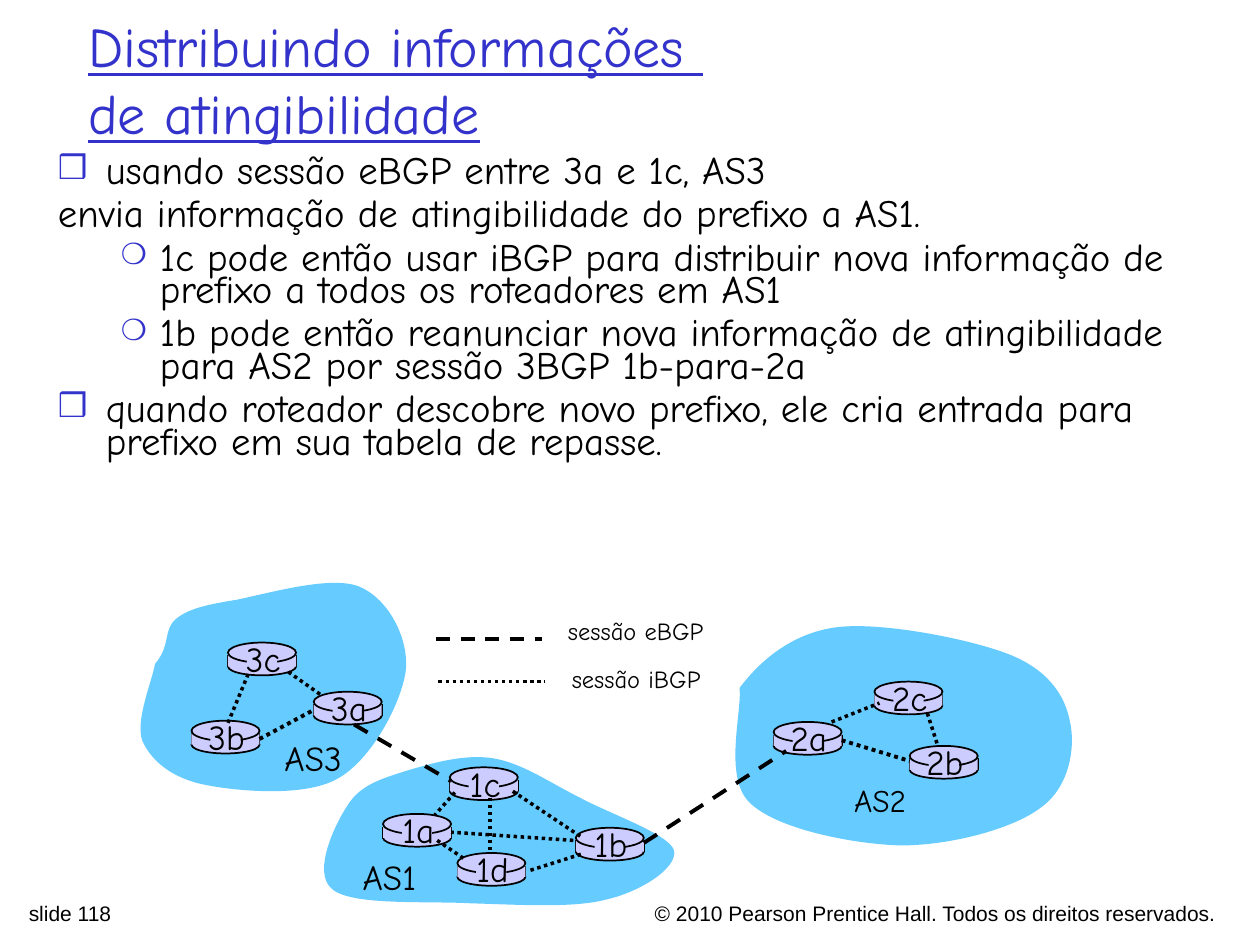
from dataclasses import dataclass
from typing import Optional

from lxml import etree
from pptx import Presentation
from pptx.dml.color import RGBColor
from pptx.enum.dml import MSO_LINE
from pptx.enum.shapes import MSO_CONNECTOR, MSO_SHAPE
from pptx.enum.text import MSO_ANCHOR, MSO_AUTO_SIZE, PP_ALIGN
from pptx.oxml.ns import qn
from pptx.util import Cm, Pt

LEFT, CENTER, RIGHT = PP_ALIGN.LEFT, PP_ALIGN.CENTER, PP_ALIGN.RIGHT
MIDDLE, TOP = MSO_ANCHOR.MIDDLE, MSO_ANCHOR.TOP
NO_FIT, GROW = MSO_AUTO_SIZE.NONE, MSO_AUTO_SIZE.SHAPE_TO_FIT_TEXT
OVAL, RECT = MSO_SHAPE.OVAL, MSO_SHAPE.RECTANGLE
STRAIGHT = MSO_CONNECTOR.STRAIGHT
DOT, DASH = MSO_LINE.ROUND_DOT, MSO_LINE.DASH
COMIC, ARIAL = "Comic Neue", "Arial"
BLACK, BLUE, SKY, LILAC = "000000", "3333CC", "66CCFF", "CCCCFF"
EAST, WEST = 3, 1


@dataclass
class Router:
    name: str
    x: float
    y: float


@dataclass
class Link:
    start: tuple
    end: tuple
    dash: int = DOT
    width: float = 2
    tail: Optional[tuple] = None
    head: Optional[tuple] = None


@dataclass
class Label:
    text: str
    box: tuple
    size: float = 20
    font: str = COMIC
    align: int = LEFT
    wrap: bool = True
    fit: int = GROW


@dataclass
class Item:
    text: str
    level: int = 0
    mark: str = ""


@dataclass
class Cloud:
    start: tuple
    curves: list


ROUTERS = [
    Router("3b", 1.52, 5.72), Router("1d", 3.63, 6.77), Router("3a", 2.49, 5.49),
    Router("1c", 3.57, 6.09), Router("2a", 6.14, 5.73), Router("1a", 3.04, 6.46),
    Router("2c", 6.94, 5.41), Router("2b", 7.22, 5.92), Router("1b", 4.57, 6.57),
    Router("3c", 1.81, 5.1),
]
LINKS = [
    Link((6.69, 5.87), (7.22, 6.04), width=2.25, tail=("2a", EAST)),
    Link((2.05, 5.85), (2.49, 5.65), width=2.25, tail=("3b", EAST), head=("3a", WEST)),
    Link((2.81, 5.75), (3.58, 6.2), DASH, 2.25),
    Link((5.11, 6.69), (6.24, 5.96), DASH, 2.25),
    Link((3.61, 6.29), (3.45, 6.47)),
    Link((3.89, 6.33), (3.89, 6.76)),
    Link((4.07, 6.28), (4.61, 6.64)),
    Link((4.61, 6.78), (4.2, 6.91)),
    Link((4.55, 6.67), (3.57, 6.58), head=("1a", EAST)),
    Link((6.6, 5.73), (6.98, 5.58)),
    Link((3.46, 5.07), (4.3, 5.07), DASH),
    Link((3.48, 5.41), (4.32, 5.41)),
    Link((2.54, 5.51), (2.27, 5.32)),
    Link((1.97, 5.35), (1.8, 5.76)),
    Link((7.36, 5.66), (7.44, 5.91)),
    Link((3.47, 6.67), (3.69, 6.82)),
]
LABELS = [
    Label("© 2010 Pearson Prentice Hall. Todos os direitos reservados.",
          (4.64, 7.1, 5.11, 0.24), 12, ARIAL, RIGHT, fit=NO_FIT),
    Label("slide 118", (0.13, 7.1, 3.52, 0.23), 12, ARIAL, fit=NO_FIT),
    Label("AS3", (2.16, 5.8, 0.7, 0.44)),
    Label("AS1", (2.78, 6.74, 0.7, 0.44)),
    Label("AS2", (6.68, 6.15, 0.7, 0.4), 18),
    Label("sessão eBGP", (4.41, 4.84, 1.3, 0.34), 14),
    Label("sessão iBGP", (4.44, 5.22, 1.3, 0.34), 14),
]
ITEMS = [
    Item("usando sessão eBGP entre 3a e 1c, AS3", mark="❒"),
    Item("envia informação de atingibilidade do prefixo a AS1."),
    Item("1c pode então usar iBGP para distribuir nova informação de "
         "prefixo a todos os roteadores em AS1", 1, "❍"),
    Item("1b pode então reanunciar nova informação de atingibilidade "
         "para AS2 por sessão 3BGP 1b-para-2a", 1, "❍"),
    Item("quando roteador descobre novo prefixo, ele cria entrada para "
         "prefixo em sua tabela de repasse.", mark="❒"),
]
INDENTS = [(0.38, -0.38, 85), (0.81, -0.31, 75)]
CLOUDS = [
    Cloud((5.87, 5.46), [
        (6.02, 5.26, 6.27, 5.03, 6.63, 4.98), (6.98, 4.93, 7.69, 5.07, 8, 5.19),
        (8.31, 5.31, 8.45, 5.51, 8.49, 5.72), (8.54, 5.92, 8.49, 6.25, 8.26, 6.41),
        (8.04, 6.58, 7.54, 6.71, 7.15, 6.71), (6.77, 6.7, 6.16, 6.58, 5.95, 6.37),
        (5.74, 6.17, 5.89, 5.65, 5.87, 5.46)]),
    Cloud((1.23, 5.27), [
        (1.36, 5.12, 1.29, 5, 1.4, 4.91), (1.5, 4.83, 1.64, 4.8, 1.88, 4.76),
        (2.13, 4.71, 2.64, 4.56, 2.86, 4.66), (3.09, 4.76, 3.25, 5.08, 3.22, 5.33),
        (3.18, 5.59, 2.95, 6.03, 2.68, 6.18), (2.42, 6.33, 1.88, 6.28, 1.63, 6.23),
        (1.37, 6.18, 1.2, 6.04, 1.13, 5.88), (1.07, 5.72, 1.21, 5.4, 1.23, 5.27)]),
    Cloud((2.76, 6.39), [
        (2.86, 6.23, 3.03, 6.18, 3.22, 6.12), (3.42, 6.06, 3.69, 5.98, 3.92, 6.02),
        (4.15, 6.06, 4.36, 6.21, 4.6, 6.33), (4.84, 6.46, 5.31, 6.62, 5.35, 6.75),
        (5.38, 6.89, 5.08, 7.08, 4.81, 7.14), (4.55, 7.21, 4.1, 7.18, 3.74, 7.17),
        (3.38, 7.15, 2.8, 7.19, 2.64, 7.06), (2.47, 6.93, 2.66, 6.54, 2.76, 6.39)]),
]


def size(*inches: float) -> list:
    return [Cm(2.54 * value) for value in inches]


def tint(color, code: str) -> None:
    color.rgb = RGBColor.from_string(code)


def paint(shape, fill: str, edge: bool = False) -> None:
    shape.shadow.inherit = False
    shape.fill.solid()
    tint(shape.fill.fore_color, fill)
    if edge:
        tint(shape.line.color, BLACK)
        shape.line.width = Pt(1)
    else:
        shape.line.fill.background()


def style(par, points: float, font: str, code: str, line: bool = False) -> None:
    for run in par.runs:
        run.font.size, run.font.name = Pt(points), font
        run.font.underline = line
        tint(run.font.color, code)


def place(shape, box: tuple) -> None:
    shape.left, shape.top, shape.width, shape.height = size(*box)


def write(shapes, label: Label) -> None:
    frame = shapes.add_textbox(*size(*label.box)).text_frame
    frame.word_wrap, frame.auto_size = label.wrap, label.fit
    frame.text = label.text
    par = frame.paragraphs[0]
    par.alignment = label.align
    style(par, label.size, label.font, BLACK)


def block(shapes, kind: int, box: tuple, edge: bool = False):
    shape = shapes.add_shape(kind, *size(*box))
    paint(shape, LILAC, edge)
    return shape


def wire(shapes, start: tuple, end: tuple, width: float):
    line = shapes.add_connector(STRAIGHT, *size(*start, *end))
    tint(line.line.color, BLACK)
    line.line.width = Pt(width)
    etree.SubElement(line._element.spPr, qn("a:effectLst"))
    return line


def route(shapes, node: Router):
    x, y = node.x, node.y
    block(shapes, OVAL, (x, y + 0.12, 0.54, 0.14), True)
    for side in (x, x + 0.54):
        wire(shapes, (side, y + 0.1), (side, y + 0.19), 1)
    core = block(shapes, RECT, (x, y + 0.1, 0.54, 0.09))
    block(shapes, OVAL, (x, y, 0.54, 0.16), True)
    block(shapes, RECT, (x + 0.15, y + 0.02, 0.24, 0.2))
    write(shapes, Label(node.name, (x + 0.03, y - 0.09, 0.5, 0.44), align=CENTER, wrap=False))
    return core


def join(shapes, link: Link, cores: dict) -> None:
    line = wire(shapes, link.start, link.end, link.width)
    line.line.dash_style = link.dash
    if link.tail:
        line.begin_connect(cores[link.tail[0]], link.tail[1])
    if link.head:
        line.end_connect(cores[link.head[0]], link.head[1])


def puff(shapes, cloud: Cloud) -> None:
    pen = shapes.build_freeform(*size(*cloud.start))
    pen.add_line_segments([size(*curve[k:k + 2]) for curve in cloud.curves for k in (0, 2, 4)])
    shape = pen.convert_to_shape()
    paint(shape, SKY)
    route = next(shape._element.iter(qn("a:path")[:0] + qn("a:pathLst")))[0]
    legs = route.findall(qn("a:lnTo"))
    for first in range(0, len(cloud.curves) * 3, 3):
        bend = etree.Element(qn("a:cubicBezTo"))
        legs[first].addprevious(bend)
        for leg in legs[first:first + 3]:
            bend.append(leg[0])
            route.remove(leg)


def bullet(par, item: Item) -> None:
    left, hang, scale = INDENTS[item.level]
    props = par._p.get_or_add_pPr()
    props.set("marL", str(size(left)[0]))
    props.set("indent", str(size(hang)[0]))
    if not item.mark:
        etree.SubElement(props, qn("a:buNone"))
        return
    color = etree.SubElement(props, qn("a:buClr"))
    etree.SubElement(color, qn("a:srgbClr"), val=BLUE)
    etree.SubElement(props, qn("a:buSzPct"), val=str(scale * 1000))
    etree.SubElement(props, qn("a:buChar"), char=item.mark)


def head(title) -> None:
    place(title, (0.6, 0, 8.5, 1.25))
    frame = title.text_frame
    frame.text = "Distribuindo informações \vde atingibilidade"
    frame.auto_size, frame.vertical_anchor = NO_FIT, MIDDLE
    frame.paragraphs[0].alignment = LEFT
    style(frame.paragraphs[0], 32, COMIC, BLUE, True)


def fill(body) -> None:
    place(body, (0.36, 1.21, 9.22, 2.59))
    frame = body.text_frame
    frame.text = "\n".join(item.text for item in ITEMS)
    frame.auto_size, frame.vertical_anchor = NO_FIT, TOP
    for rank, (par, item) in enumerate(zip(frame.paragraphs, ITEMS)):
        par.level = item.level
        bullet(par, item)
        par.line_spacing = 0.7
        par.space_before = Pt(6 if rank else 0)
        style(par, 22.2, COMIC, BLACK)


def main() -> None:
    deck = Presentation()
    deck.slide_width, deck.slide_height = size(10, 7.5)
    slide = deck.slides.add_slide(deck.slide_layouts[1])
    shapes = slide.shapes
    head(shapes.title)
    fill(slide.placeholders[1])
    for cloud in CLOUDS:
        puff(shapes, cloud)
    cores = {node.name: route(shapes, node) for node in ROUTERS}
    for link in LINKS:
        join(shapes, link, cores)
    for label in LABELS:
        write(shapes, label)
    deck.save("out.pptx")


if __name__ == "__main__":
    main()
